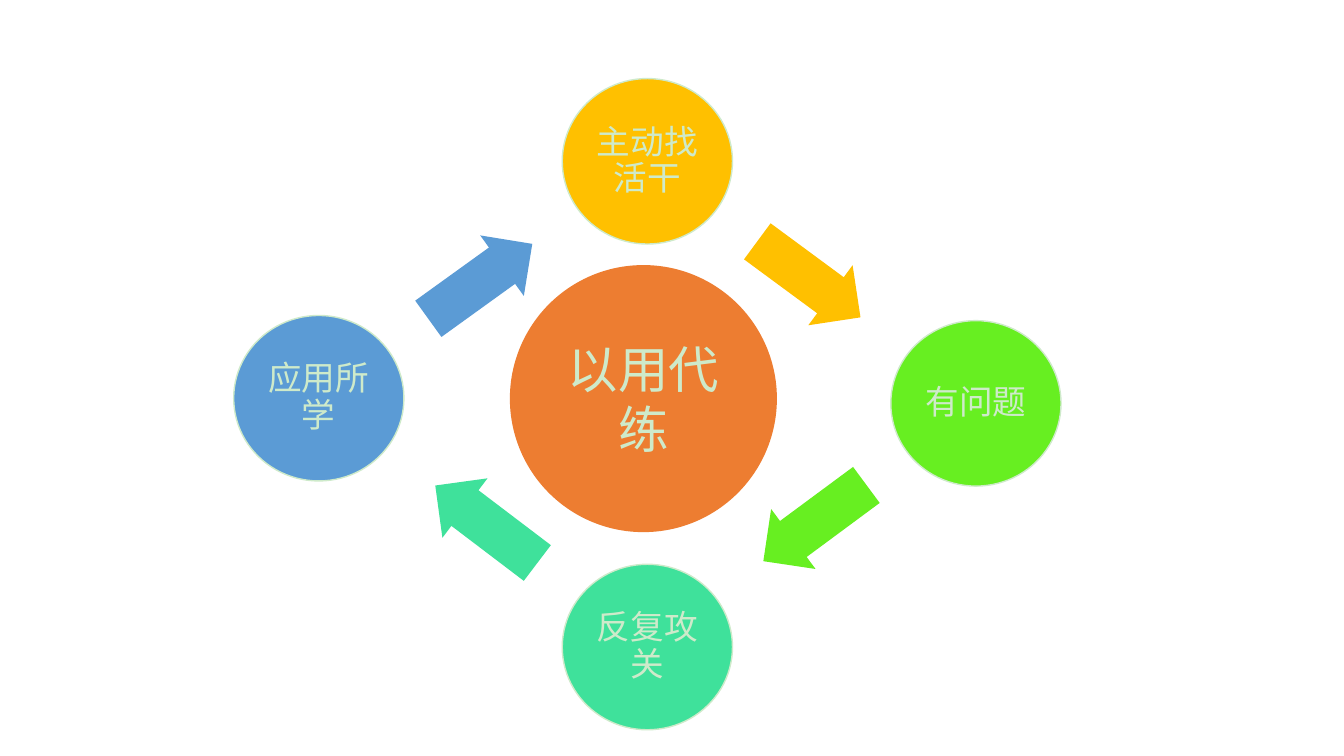
from collections import namedtuple

from lxml.etree import SubElement
from pptx import Presentation
from pptx.dml.color import RGBColor
from pptx.enum.shapes import MSO_SHAPE
from pptx.enum.text import MSO_ANCHOR, PP_ALIGN
from pptx.oxml.ns import qn
from pptx.util import Cm, Pt

PALE_GREEN = RGBColor(0xCE, 0xEA, 0xCA)
AMBER = RGBColor(0xFF, 0xC0, 0x00)
LIME = RGBColor(0x67, 0xEF, 0x21)
MINT = RGBColor(0x3F, 0xE1, 0x9B)
BLUE = RGBColor(0x5B, 0x9B, 0xD5)
ORANGE = RGBColor(0xED, 0x7D, 0x31)
FONT = "Noto Sans CJK SC"

STEP_WIDTH, STEP_HEIGHT = 4.29, 4.17
ARROW_WIDTH, ARROW_HEIGHT = 3.23, 1.88
HUB_SIZE = 6.73

Box = namedtuple("Box", "left top width height")
Step = namedtuple("Step", "label color circle_at arrow_at angle")

STEPS = [
    Step("主动找活干", AMBER, (8.28, 0), (12.88, 4.12), 36.4),
    Step("有问题", LIME, (16.56, 6.1), (13.03, 10.26), 143.5),
    Step("反复攻关", MINT, (8.28, 12.24), (4.75, 10.29), 217.2),
    Step("应用所学", BLUE, (0, 5.97), (4.6, 4.17), 324.2),
]


def add_filled(shapes, kind, box, color):
    shape = shapes.add_shape(kind, *(Cm(length) for length in box))
    shape.shadow.inherit = False
    shape.fill.solid()
    shape.fill.fore_color.rgb = color
    shape.line.fill.background()
    return shape


def write_label(shape, text, size):
    frame = shape.text_frame
    frame.word_wrap = True
    frame.vertical_anchor = MSO_ANCHOR.MIDDLE
    frame.text = text
    para = frame.paragraphs[0]
    para.alignment = PP_ALIGN.CENTER
    font = para.runs[0].font
    font.size = Pt(size)
    font.name = FONT
    font.color.rgb = PALE_GREEN
    SubElement(font._element, qn("a:ea"), typeface=FONT)


def add_step(shapes, step, box):
    left, top = step.circle_at
    circle_box = Box(box.left + left, box.top + top, STEP_WIDTH, STEP_HEIGHT)
    circle = add_filled(shapes, MSO_SHAPE.OVAL, circle_box, step.color)
    circle.line.color.rgb = PALE_GREEN
    circle.line.width = Pt(1)
    write_label(circle, step.label, 24)
    frame = circle.text_frame
    frame.margin_left = frame.margin_right = Cm(0.08)
    frame.margin_top = frame.margin_bottom = Cm(0.08)
    frame.paragraphs[0].line_spacing = 0.9

    left, top = step.arrow_at
    arrow_box = Box(box.left + left, box.top + top, ARROW_WIDTH, ARROW_HEIGHT)
    arrow = add_filled(shapes, MSO_SHAPE.RIGHT_ARROW, arrow_box, step.color)
    arrow.adjustments[0] = 0.6
    arrow.adjustments[1] = 0.5
    arrow.rotation = step.angle


def add_cycle(page, box):
    ring = page.shapes.add_group_shape()
    for step in STEPS:
        add_step(ring.shapes, step, box)


def add_hub(page, box):
    hub = add_filled(page.shapes, MSO_SHAPE.OVAL, box, ORANGE)
    write_label(hub, "以用代练", 36)


def main():
    deck = Presentation()
    deck.slide_width = Cm(33.87)
    deck.slide_height = Cm(19.05)
    page = deck.slides.add_slide(deck.slide_layouts[6])
    cycle_box = Box(5.89, 1.98, 20.85, 16.41)
    add_cycle(page, cycle_box)
    add_hub(page, Box(cycle_box.left + 6.96, cycle_box.top + 4.7, HUB_SIZE, HUB_SIZE))
    deck.save("out.pptx")


if __name__ == "__main__":
    main()
